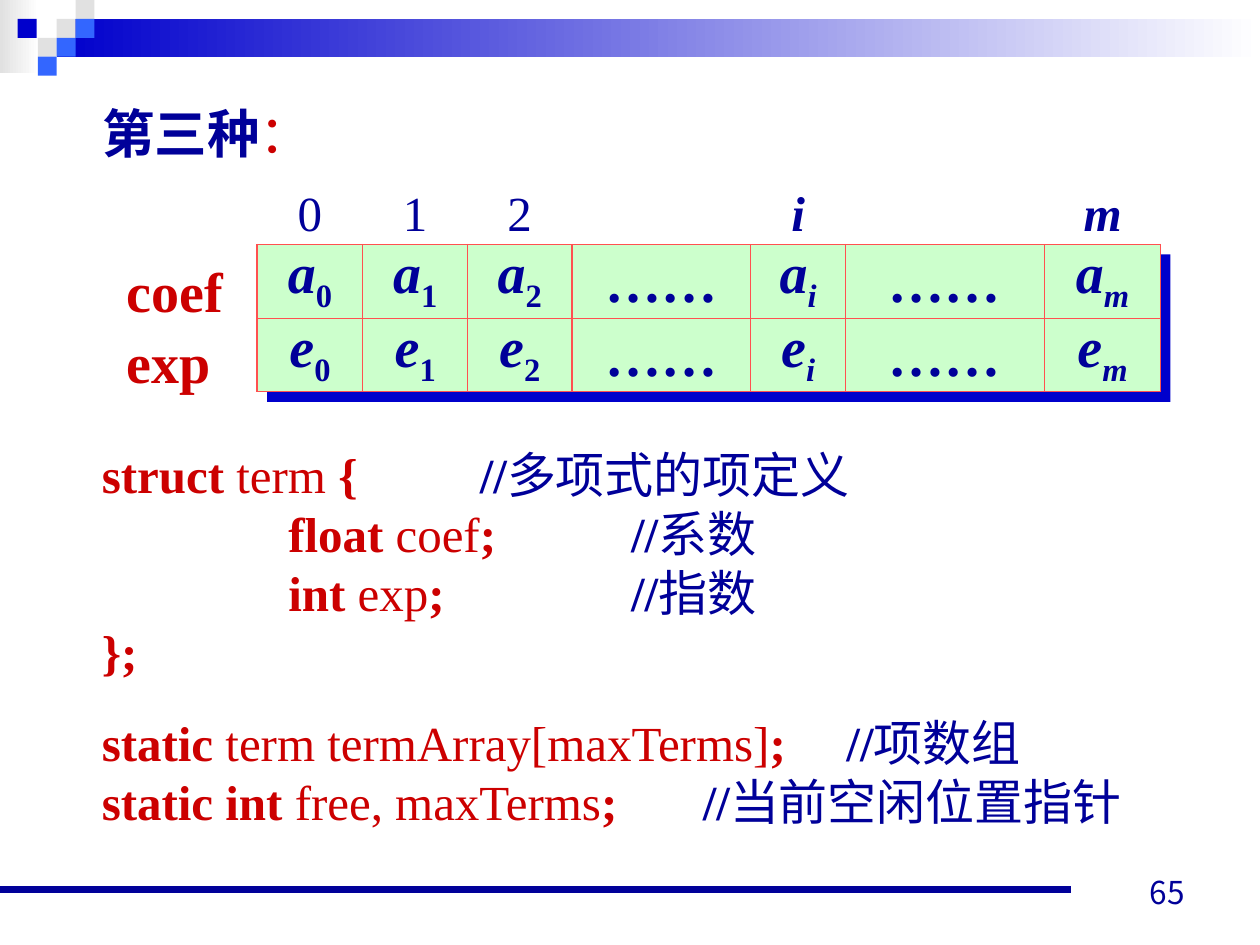
from itertools import accumulate
from lxml.etree import SubElement
from pptx import Presentation
from pptx.dml.color import RGBColor
from pptx.enum.shapes import MSO_CONNECTOR as CONN, MSO_SHAPE as SHAPE
from pptx.enum.text import MSO_ANCHOR as ANCHOR, PP_ALIGN as ALIGN
from pptx.oxml.ns import qn
from pptx.util import Inches, Pt

COLORS = {"navy": "000099", "blue": "0000CC", "sky": "3366FF", "gray": "E1E1E1",
          "white": "FFFFFF", "red": "CC0000", "mint": "CCFFCC", "coral": "FF5050"}
SERIF, SANS = "Times New Roman", "Noto Sans CJK JP"

SQUARES = [(0.45, 0.15, "gray"), (0.6, 0, "gray"), (0.6, 0.15, "sky"), (0.3, 0.3, "gray"),
           (0.14, 0.15, "blue"), (0.45, 0.3, "sky"), (0.3, 0.45, "sky")]
LEFT, TOP, ROW = 2.04, 1.94, 0.585
WIDTHS = [0.84, 0.83, 0.83, 1.42, 0.75, 1.58, 0.92]
INDEXES = ["0", "1", "2", None, "i", None, "m"]

KEY, NAME = ("red", True), ("red", False)
MARK, NOTE = ("navy", True), ("navy", False)
CODE = [
    ([3], 0, [("struct ", KEY), ("term ", NAME), ("{\t", KEY), ("//", MARK), ("多项式的项定义", NOTE)]),
    ([1.48, 4.2], 0, [("\tfloat ", KEY), ("coef", NAME), (";\t", KEY), ("//", MARK), ("系数", NOTE)]),
    ([1.48, 4.2], 0, [("\tint", KEY), (" exp", NAME), (";\t", KEY), ("//", MARK), ("指数", NOTE)]),
    ([], 0, [("};", KEY)]),
    ([5.91], 18, [("static ", KEY), ("term termArray[maxTerms]", NAME), (";\t", KEY),
                  ("//", MARK), ("项数组", NOTE)]),
    ([4.77], 0, [("static int", KEY), (" free, maxTerms", NAME), (";\t", KEY),
                 ("//", MARK), ("当前空闲位置指针", NOTE)]),
]


class Deck:
    """Holds the style and the current slide."""

    def __init__(self):
        self.prs = Presentation()
        self.prs.slide_width, self.prs.slide_height = Inches(10), Inches(7.5)
        self.s = self.prs.slides.add_slide(self.prs.slide_layouts[5])

    def color(self, name):
        return RGBColor.from_string(COLORS[name])

    def style(self, r, size, color, bold=False, italic=False, font=SERIF):
        f = r.font
        f.name, f.size, f.bold, f.italic = font, Pt(size), bold, italic
        f.color.rgb = self.color(color)

    def run(self, p, text, *args, **kwargs):
        r = p.add_run()
        r.text = text
        self.style(r, *args, **kwargs)
        return r

    def rect(self, x, y, w, h, color, fade_to=None):
        sp = self.s.shapes.add_shape(SHAPE.RECTANGLE, Inches(x), Inches(y), Inches(w), Inches(h))
        sp.shadow.inherit = False
        sp.line.fill.background()
        if fade_to:
            sp.fill.gradient()
            sp.fill.gradient_angle = 0
            for stop, name, pos in zip(sp.fill.gradient_stops, (color, fade_to), (0, 1)):
                stop.color.rgb = self.color(name)
                stop.position = pos
        else:
            sp.fill.solid()
            sp.fill.fore_color.rgb = self.color(color)

    def line(self, x1, y1, x2, y2, color, width):
        c = self.s.shapes.add_connector(CONN.STRAIGHT, Inches(x1), Inches(y1), Inches(x2), Inches(y2))
        c.line.color.rgb = self.color(color)
        c.line.width = Pt(width)
        SubElement(c._element.spPr, qn("a:effectLst"))

    def title(self, x, y, w, h, runs, size):
        sp = self.s.shapes.title
        sp.left, sp.top, sp.width, sp.height = Inches(x), Inches(y), Inches(w), Inches(h)
        tf = sp.text_frame
        tf.vertical_anchor = ANCHOR.MIDDLE
        p = tf.paragraphs[0]
        p.alignment = ALIGN.LEFT
        for text, (color, bold) in runs:
            self.run(p, text, size, color, bold)

    def box(self, x, y, w, h):
        tf = self.s.shapes.add_textbox(Inches(x), Inches(y), Inches(w), Inches(h)).text_frame
        tf.word_wrap = True
        return tf

    def text(self, x, y, w, h, text, size, color, align=ALIGN.LEFT, anchor=ANCHOR.TOP, gap=0, **kwargs):
        tf = self.box(x, y, w, h)
        tf.text = text
        tf.vertical_anchor = anchor
        for i, p in enumerate(tf.paragraphs):
            p.alignment = align
            p.space_before = Pt(gap if i else 0)
            self.style(p.runs[0], size, color, **kwargs)

    def code(self, x, y, w, h, lines, size):
        tf = self.box(x, y, w, h)
        tf.margin_top = tf.margin_bottom = 0
        for i, (stops, before, runs) in enumerate(lines):
            p = tf.add_paragraph() if i else tf.paragraphs[0]
            p.line_spacing = Pt(33.7)
            p.space_before = Pt(before)
            if stops:
                tabs = SubElement(p._p.get_or_add_pPr(), qn("a:tabLst"))
                for stop in stops:
                    SubElement(tabs, qn("a:tab"), pos=str(Inches(stop)), algn="l")
            for text, (color, bold) in runs:
                self.run(p, text, size, color, bold)

    def border(self, cell, color, width):
        tcPr = cell._tc.get_or_add_tcPr()
        for i, side in enumerate(("lnL", "lnR", "lnT", "lnB")):
            ln = tcPr.makeelement(qn("a:" + side), {"w": str(Pt(width))})
            fill = SubElement(ln, qn("a:solidFill"))
            SubElement(fill, qn("a:srgbClr"), val=COLORS[color])
            tcPr.insert(i, ln)

    def term_table(self, x, y, widths, row_height, letters, indexes, size):
        t = self.s.shapes.add_table(len(letters), len(widths), Inches(x), Inches(y),
                                    Inches(sum(widths)), Inches(row_height * len(letters))).table
        t.first_row = t.horz_banding = False
        for col, w in zip(t.columns, widths):
            col.width = Inches(w)
        for i, letter in enumerate(letters):
            t.rows[i].height = Inches(row_height)
            for j, index in enumerate(indexes):
                cell = t.cell(i, j)
                cell.margin_left = cell.margin_right = cell.margin_top = cell.margin_bottom = 0
                cell.vertical_anchor = ANCHOR.MIDDLE
                cell.fill.solid()
                cell.fill.fore_color.rgb = self.color("mint")
                self.border(cell, "coral", 0.75)
                p = cell.text_frame.paragraphs[0]
                p.alignment = ALIGN.CENTER
                p.line_spacing = Pt(38)
                self.run(p, letter if index else "……", size, "navy", True, bool(index))
                if index:
                    r = self.run(p, index, size, "navy", True, index.isalpha())
                    r.font._element.set("baseline", "-25000")


def main():
    d = Deck()
    d.rect(0, 0, 0.31, 0.58, "gray", "white")
    d.rect(0.45, 0.15, 9.55, 0.3, "blue", "white")
    for x, y, color in SQUARES:
        d.rect(x, y, 0.15, 0.15, color)
    d.line(0, 7.06, 8.5, 7.06, "navy", 4.5)
    d.text(7.17, 6.78, 2.33, 0.5, "65", 18, "navy", ALIGN.RIGHT, ANCHOR.BOTTOM, font=SANS)

    d.title(0.71, 0.75, 8.72, 0.6, [("第三种", MARK), ("：", NAME)], 30)
    d.rect(LEFT + 0.08, TOP + 0.08, sum(WIDTHS), 2 * ROW, "blue")
    d.term_table(LEFT, TOP, WIDTHS, ROW, "ae", INDEXES, 32)
    d.text(0.91, 1.99, 1.1, 1.17, "coef\nexp", 32, "red", gap=2, bold=True)
    for index, w, right in zip(INDEXES, WIDTHS, accumulate(WIDTHS)):
        if index:
            letter = index.isalpha()
            d.text(LEFT + right - w, 1.4, w, 0.53, index, 28, "navy", ALIGN.CENTER,
                   bold=letter, italic=letter)
    d.code(0.71, 3.53, 8.72, 3.1, CODE, 28)
    d.prs.save("out.pptx")


if __name__ == "__main__":
    main()
